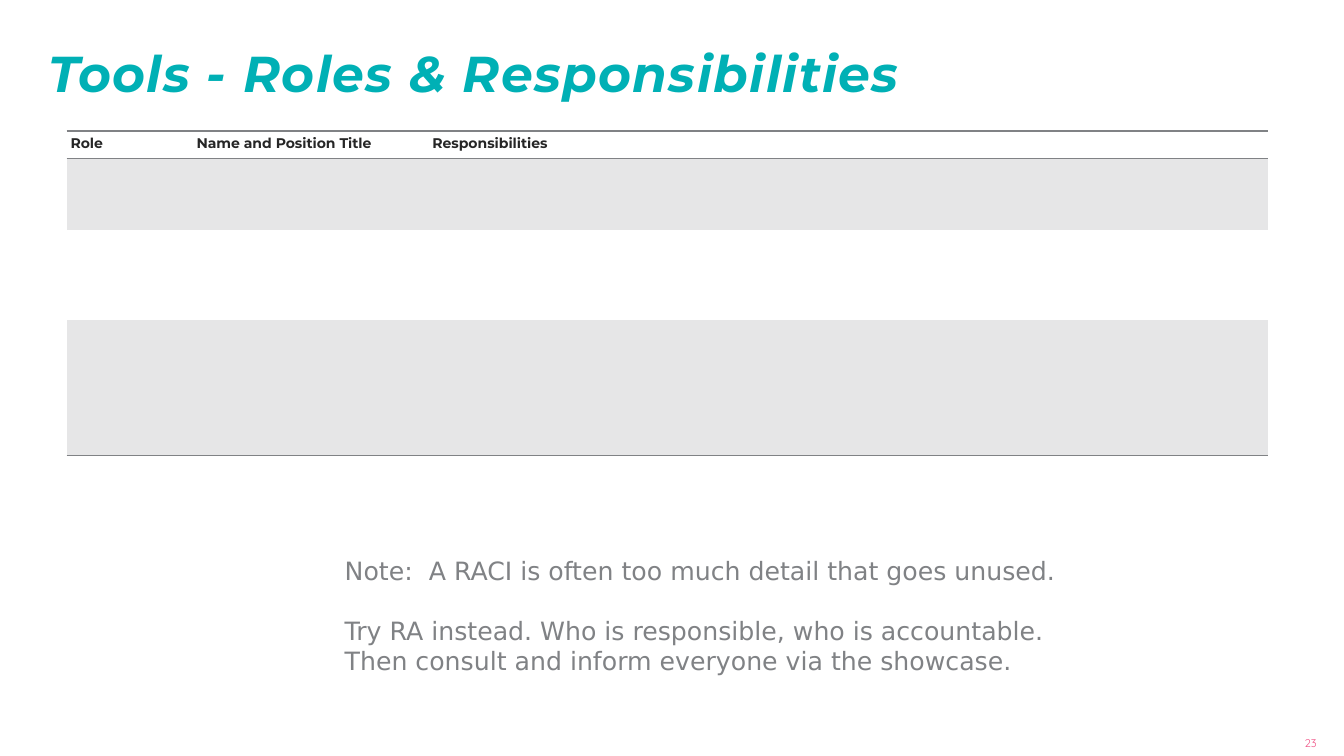
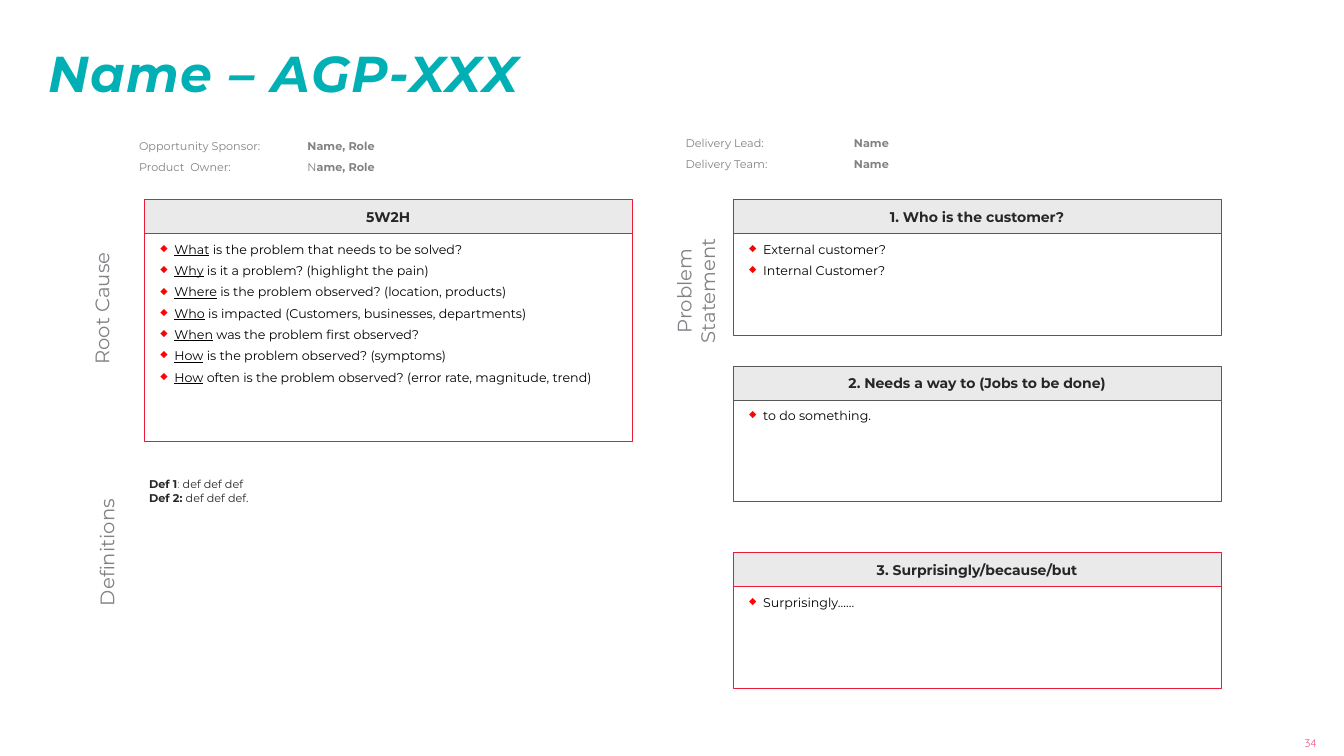
from lxml.etree import SubElement
from pptx import Presentation
from pptx.dml.color import RGBColor as RGB
from pptx.enum.shapes import MSO_SHAPE as SHAPE
from pptx.enum.text import MSO_ANCHOR as ANCHOR, MSO_AUTO_SIZE as AUTO, PP_ALIGN as ALIGN
from pptx.oxml import parse_xml
from pptx.oxml.ns import nsdecls, qn
from pptx.util import Inches, Pt

COLORS = {
    "title": "00B0B5", "gray": "808285", "ink": "262626", "black": "000000",
    "number": "F05588", "red": "ED1A37", "dark": "595959", "bullet": "FF0101",
    "head": "EAEAEA", "band": "E6E6E7",
}
FONT = "Montserrat"
W, H = Inches(13.33), Inches(7.5)
COL, ROW = W / 100, H / 100
LEFT, RIGHT = 10.73, 54.54
CARD_W, HEAD_H, BODY_H = 36.31, 4.5, 13.47
NO_STYLE = "{2D5ABB26-0587-4C30-8999-92F81FD0307C}"


def grid(x, y, w, h):
    return round(x * COL), round(y * ROW), round(w * COL), round(h * ROW)


def rgb(name):
    return RGB.from_string(COLORS[name])


def style(r, size, color, bold=False, underline=False, font=FONT):
    f = r.font
    f.name, f.size, f.bold = font, Pt(size), bold
    f.color.rgb = rgb(color)
    if underline:
        f.underline = True


def frame(sp, insets=(0, 0, 0, 0), anchor=ANCHOR.TOP):
    tf = sp.text_frame
    tf.word_wrap, tf.auto_size, tf.vertical_anchor = True, AUTO.NONE, anchor
    sides = [Inches(i) for i in insets]
    tf.margin_left, tf.margin_top, tf.margin_right, tf.margin_bottom = sides
    return tf


def add_text(s, box, text, size, color, insets=(0, 0, 0, 0), align=ALIGN.LEFT,
             anchor=ANCHOR.TOP, font=FONT):
    sp = s.shapes.add_textbox(*grid(*box))
    tf = frame(sp, insets, anchor)
    tf.text = text
    for p in tf.paragraphs:
        p.alignment = align
        for r in p.runs:
            style(r, size, color, font=font)
    return sp


def add_runs(p, runs, size):
    for text, color, bold, underline in runs:
        r = p.add_run()
        r.text = text
        style(r, size, color, bold, underline)


def next_paragraph(tf, i):
    return tf.add_paragraph() if i else tf.paragraphs[0]


def add_slide(prs, title, number):
    s = prs.slides.add_slide(prs.slide_layouts[5])
    sp = s.shapes.title
    sp.left, sp.top, sp.width, sp.height = grid(3.6, 6, 77.27, 8.13)
    tf = frame(sp, anchor=ANCHOR.MIDDLE)
    tf.text = title
    p = tf.paragraphs[0]
    p.alignment, p.line_spacing = ALIGN.LEFT, 0.9
    r = p.runs[0]
    style(r, 36, "title", True)
    r.font.italic = True
    r.font._element.set("spc", "100")
    add_text(s, (89.42, 97.07, 8.55, 2.4), number, 8, "number",
             align=ALIGN.RIGHT, anchor=ANCHOR.MIDDLE, font="Quicksand")
    return s


def add_rule(cell, edge):
    pr = cell._tc.get_or_add_tcPr()
    line = parse_xml(
        f'<a:{edge} {nsdecls("a")} w="12700"><a:solidFill>'
        f'<a:srgbClr val="{COLORS["gray"]}"/></a:solidFill></a:{edge}>')
    pr.insert(len(pr.findall(qn("a:lnT"))), line)


def add_role_table(s, heads, widths, heights):
    box = grid(4.95, 17.33, sum(widths), sum(heights))
    table = s.shapes.add_table(len(heights), len(widths), *box).table
    table._tbl.tblPr.find(qn("a:tableStyleId")).text = NO_STYLE
    table.first_row = table.horz_banding = False
    for column, width in zip(table.columns, widths):
        column.width = round(width * COL)
    for i, height in enumerate(heights):
        table.rows[i].height = round(height * ROW)
        for j, head in enumerate(heads):
            cell = table.cell(i, j)
            if i % 2:
                cell.fill.solid()
                cell.fill.fore_color.rgb = rgb("band")
            else:
                cell.fill.background()
            if i == 0:
                cell.text = head
                cell.vertical_anchor = ANCHOR.MIDDLE
                cell.margin_left = cell.margin_right = Inches(0.04)
                cell.margin_top = cell.margin_bottom = 0
                p = cell.text_frame.paragraphs[0]
                p.line_spacing = Pt(11)
                style(p.runs[0], 10, "ink", True)
                add_rule(cell, "lnT")
            if i in (0, len(heights) - 1):
                add_rule(cell, "lnB")


def add_box(s, box, line, fill=None):
    sp = s.shapes.add_shape(SHAPE.RECTANGLE, *grid(*box))
    sp.shadow.inherit = False
    if fill:
        sp.fill.solid()
        sp.fill.fore_color.rgb = rgb(fill)
    else:
        sp.fill.background()
    sp.line.color.rgb = rgb(line)
    sp.line.width = Pt(0.25)
    return sp


def add_bullet(p):
    pr = p._p.get_or_add_pPr()
    pr.set("marL", str(Inches(0.14)))
    pr.set("indent", str(-Inches(0.14)))
    color = SubElement(pr, qn("a:buClr"))
    SubElement(color, qn("a:srgbClr"), val=COLORS["bullet"])
    SubElement(pr, qn("a:buSzPct"), val="75000")
    SubElement(pr, qn("a:buChar"), char="◆")


def add_card(s, x, y, line, head, items, body_h=BODY_H):
    sp = add_box(s, (x, y, CARD_W, HEAD_H), line, "head")
    tf = frame(sp, (0, 0.08, 0, 0.08), ANCHOR.MIDDLE)
    tf.text = head
    p = tf.paragraphs[0]
    p.alignment = ALIGN.CENTER
    style(p.runs[0], 10, "ink", True)

    sp = add_box(s, (x, y + HEAD_H, CARD_W, body_h), line)
    tf = frame(sp, (0.16, 0.08, 0, 0.12))
    for i, (key, rest) in enumerate(items):
        p = next_paragraph(tf, i)
        add_bullet(p)
        p.alignment, p.space_after = ALIGN.LEFT, Pt(4.4)
        runs = [(key, "black", False, True), (rest, "black", False, False)]
        add_runs(p, [run for run in runs if run[0]], 9)


def add_side_label(s, x, y, h, text):
    sp = add_text(s, (x, y, 13.35, h), text, 14, "gray",
                  (0.07, 0, 0.07, 0), ALIGN.CENTER)
    sp.rotation = 270


def add_people(s, x, y, lines):
    tf = frame(s.shapes.add_textbox(*grid(x, y, 35.71, 6.4)))
    for i, (label, name) in enumerate(lines):
        p = next_paragraph(tf, i)
        tabs = SubElement(p._p.get_or_add_pPr(), qn("a:tabLst"))
        SubElement(tabs, qn("a:tab"), pos=str(Inches(1.67)), algn="l")
        p.line_spacing = 1.5
        add_runs(p, [(label, "gray", False, False), (name, "gray", True, False)], 8)


def add_definitions(s, lines):
    sp = s.shapes.add_textbox(*grid(10.35, 62.53, 38.11, 6.67))
    tf = frame(sp, (0.1, 0.05, 0.1, 0.05))
    for i, runs in enumerate(lines):
        add_runs(next_paragraph(tf, i), runs, 8)


def roles_slide(prs):
    s = add_slide(prs, "Tools - Roles & Responsibilities", "23")
    add_role_table(s, ("Role", "Name and Position Title", "Responsibilities"),
                   (9.38, 17.55, 62.49), (3.6, 9.47, 11.87, 18))
    note = add_text(
        s, (24.91, 72.8, 56.64, 17.47),
        "Note:  A RACI is often too much detail that goes unused.\n"
        "Try RA instead. Who is responsible, who is accountable. "
        "Then consult and inform everyone via the showcase.",
        18, "gray", (0.1, 0.05, 0.1, 0.05), font="DejaVu Sans")
    note.text_frame.paragraphs[1].space_before = Pt(21)


def problem_slide(prs):
    s = add_slide(prs, "Name – AGP-XXX", "34")
    add_people(s, 10.35, 17.6, [("Opportunity Sponsor:\t", "Name, Role"),
                                ("Product  Owner:\tN", "ame, Role")])
    add_people(s, 51.01, 17.2, [("Delivery Lead:", "\tName"),
                                ("Delivery Team:", "\tName")])
    add_card(s, LEFT, 26.4, "red", "5W2H", [
        ("What", " is the problem that needs to be solved?"),
        ("Why", " is it a problem? (highlight the pain)"),
        ("Where", " is the problem observed? (location, products)"),
        ("Who", " is impacted (Customers, businesses, departments)"),
        ("When", " was the problem first observed?"),
        ("How", " is the problem observed? (symptoms)"),
        ("How", " often is the problem observed? (error rate, magnitude, trend)"),
    ], 27.47)
    for y, line, head, items in (
        (26.4, "dark", "1. Who is the customer?",
         ["External customer?", "Internal Customer?"]),
        (48.4, "dark", "2. Needs a way to (Jobs to be done)", ["to do something."]),
        (73.07, "red", "3. Surprisingly/because/but", ["Surprisingly……"]),
    ):
        add_card(s, RIGHT, y, line, head, [("", item) for item in items])
    for label in ((0.9, 39.2, 3.2, "Root Cause"),
                  (45.09, 35.33, 6.27, "Problem Statement"),
                  (1.28, 71.47, 3.2, "Definitions")):
        add_side_label(s, *label)
    add_definitions(s, [
        [("Def 1", "ink", True, False), (": ", "gray", False, False),
         ("def def def", "ink", False, False)],
        [("Def 2: ", "ink", True, False), ("def def def.", "ink", False, False)],
    ])


def main():
    prs = Presentation()
    prs.slide_width, prs.slide_height = W, H
    roles_slide(prs)
    problem_slide(prs)
    prs.save("out.pptx")


if __name__ == "__main__":
    main()
